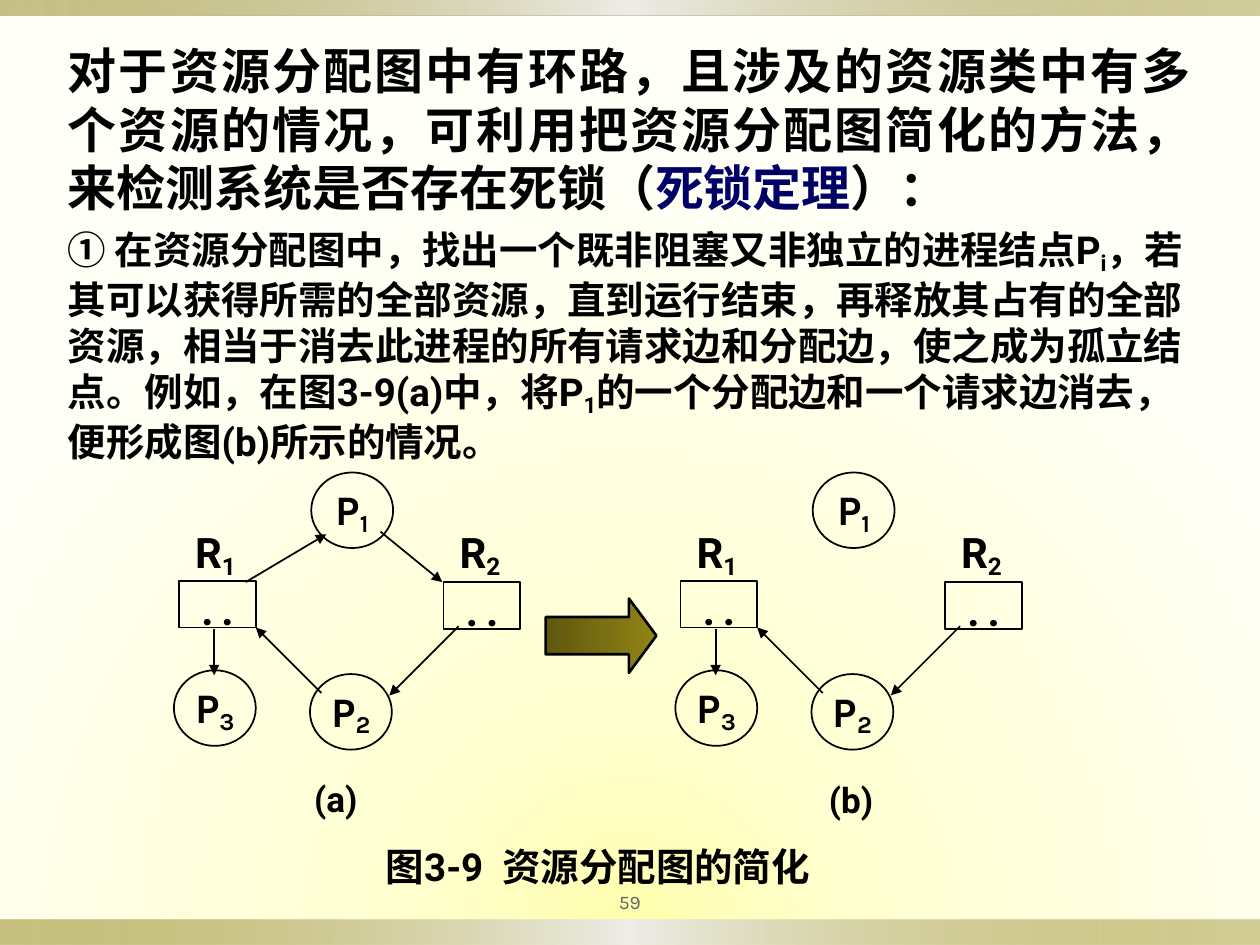
from lxml import etree
from pptx import Presentation
from pptx.dml.color import RGBColor
from pptx.enum.shapes import MSO_CONNECTOR as CONN, MSO_SHAPE as SHAPE
from pptx.enum.text import MSO_ANCHOR as ANCHOR, PP_ALIGN as ALIGN
from pptx.oxml import parse_xml
from pptx.oxml.ns import nsdecls, qn
from pptx.util import Inches, Pt

BLACK = RGBColor(0x00, 0x00, 0x00)
NAVY = RGBColor(0x00, 0x00, 0x66)
GRAY = RGBColor(0x63, 0x63, 0x63)
OLIVE = RGBColor(0x91, 0x84, 0x15)
DARK_OLIVE = RGBColor(0x5F, 0x57, 0x0E)
SILVER = RGBColor(0xEE, 0xED, 0xE8)
CREAM = [(0, RGBColor(0xFF, 0xFF, 0xAC), 100),
         (31, RGBColor(0xFF, 0xFF, 0xD2), 100),
         (100, RGBColor(0xFF, 0xFF, 0xF7), 100)]
BAND = [(0, OLIVE, 50), (50, SILVER, 100), (100, OLIVE, 40)]
ARROW = [(0, DARK_OLIVE, 100), (100, OLIVE, 100)]

LINEAR = '<a:lin ang="0" scaled="0"/>'
RADIAL = ('<a:path path="circle"><a:fillToRect l="50000" t="150000" '
          'r="50000" b="0"/></a:path>')
GRAPH_STEP = 3.98


class Builder:
    heading = {"size": Pt(28), "name": "Roboto", "bold": True}
    body = {"size": Pt(22), "name": "Roboto", "bold": True}
    label = {"size": Pt(20), "name": "Roboto", "bold": True}
    resource = {"size": Pt(24), "name": "Roboto", "bold": True}
    node = {"size": Pt(24), "name": "Karla", "bold": True}
    number = {"size": Pt(11), "name": "Karla", "bold": False}

    def __init__(self, s):
        self.s = s
        self.shapes = s.shapes

    def group(self):
        self.shapes = self.s.shapes.add_group_shape().shapes

    def ungroup(self):
        self.shapes = self.s.shapes

    def gradient(self, parent, stops, direction=LINEAR):
        gs = "".join(
            f'<a:gs pos="{pos * 1000}"><a:srgbClr val="{color}">'
            f'<a:alpha val="{alpha * 1000}"/></a:srgbClr></a:gs>'
            for pos, color, alpha in stops)
        grad = parse_xml(f'<a:gradFill {nsdecls("a")} rotWithShape="1">'
                         f'<a:gsLst>{gs}</a:gsLst>{direction}</a:gradFill>')
        solid = parent.find(qn("a:solidFill"))
        parent.replace(solid, grad)

    def background(self, stops):
        self.s.background.fill.solid()
        self.gradient(self.s.element.find(".//" + qn("p:bgPr")), stops, RADIAL)

    def shape(self, kind, box, stops=None, weight=None):
        sp = self.shapes.add_shape(kind, *map(Inches, box))
        sp.shadow.inherit = False
        if stops:
            sp.fill.solid()
            self.gradient(sp.element.spPr, stops)
        else:
            sp.fill.background()
        if weight:
            sp.line.color.rgb = BLACK
            sp.line.width = Pt(weight)
        else:
            sp.line.fill.background()
        return sp

    def frame(self, sp, wrap=True, anchor=ANCHOR.TOP, insets=(0.1, 0.05, 0.1, 0.05)):
        tf = sp.text_frame
        sides = ("margin_left", "margin_top", "margin_right", "margin_bottom")
        values = dict(zip(sides, map(Inches, insets)))
        for key, value in {"word_wrap": wrap, "vertical_anchor": anchor, **values}.items():
            setattr(tf, key, value)
        return tf

    def paragraph(self, p, runs, style, align=ALIGN.CENTER):
        p.alignment = align
        for text, color, base in runs:
            r = p.add_run()
            r.text = text
            for key, value in style.items():
                setattr(r.font, key, value)
            r.font.color.rgb = color
            if base:
                r.font._element.set("baseline", str(base * 1000))

    def text(self, box, runs, style, align=ALIGN.CENTER, **layout):
        sp = self.shapes.add_textbox(*map(Inches, box))
        tf = self.frame(sp, **layout)
        self.paragraph(tf.paragraphs[0], runs, style, align)
        return tf

    def process(self, x, y, index):
        sp = self.shape(SHAPE.OVAL, (x, y, 0.65, 0.6), weight=1)
        tf = self.frame(sp, False, ANCHOR.MIDDLE, (0.06, 0.01, 0.06, 0.01))
        self.paragraph(tf.paragraphs[0],
                       [("P", BLACK, 0), (index, BLACK, -16)], self.node)

    def resource_class(self, x, y, index):
        sp = self.shape(SHAPE.RECTANGLE, (x, y, 0.61, 0.37), weight=1)
        tf = self.frame(sp, False, insets=(0.06, 0, 0.06, 0.01))
        self.paragraph(tf.paragraphs[0], [("•  •", BLACK, -16)], self.node)
        self.text((x - 0.15, 4.13, 0.88, 0.5),
                  [("R", BLACK, 0), (index, BLACK, -16)], self.resource)

    def edge(self, x1, y1, x2, y2):
        line = self.shapes.add_connector(CONN.STRAIGHT, *map(Inches, (x1, y1, x2, y2)))
        line.line.color.rgb = BLACK
        line.line.width = Pt(1)
        etree.SubElement(line.line._get_or_add_ln(), qn("a:tailEnd"), type="triangle")
        etree.SubElement(line._element.spPr, qn("a:effectLst"))

    def graph(self, dx, edges):
        for x, y, index in ((2.47, 3.75, "1"), (2.46, 5.35, "2"), (1.38, 5.32, "3")):
            self.process(x + dx, y, index)
        for x, y, index in ((1.42, 4.61, "1"), (3.52, 4.62, "2")):
            self.resource_class(x + dx, y, index)
        for x1, y1, x2, y2 in edges:
            self.edge(x1 + dx, y1, x2 + dx, y2)


def main():
    prs = Presentation()
    prs.slide_width, prs.slide_height = Inches(10), Inches(7.5)
    b = Builder(prs.slides.add_slide(prs.slide_layouts[6]))

    b.background(CREAM)
    for y, height in ((7.3, 0.2), (0, 0.12)):
        b.shape(SHAPE.RECTANGLE, (0, y, 10, height), BAND)
    b.text((4.5, 7, 1, 0.31), [("59", GRAY, 0)], b.number,
           anchor=ANCHOR.MIDDLE, insets=(0.05,) * 4)

    tf = b.text((0.44, 0.27, 9.11, 3.43), [
        ("对于资源分配图中有环路，且涉及的资源类中有多个资源的情况，"
         "可利用把资源分配图简化的方法，来检测系统是否存在死锁（", BLACK, 0),
        ("死锁定理", NAVY, 0),
        ("）：", BLACK, 0),
    ], b.heading, ALIGN.JUSTIFY)
    p = tf.add_paragraph()
    p.space_before = Pt(5.5)
    b.paragraph(p, [
        ("① 在资源分配图中，找出一个既非阻塞又非独立的进程结点P", BLACK, 0),
        ("i", BLACK, -18),
        ("，若其可以获得所需的全部资源，直到运行结束，再释放其占有的全部资源，"
         "相当于消去此进程的所有请求边和分配边，使之成为孤立结点。"
         "例如，在图3-9(a)中，将P", BLACK, 0),
        ("1", BLACK, -18),
        ("的一个分配边和一个请求边消去，便形成图(b)所示的情况。", BLACK, 0),
    ], b.body, ALIGN.LEFT)

    p1_edges = [(1.95, 4.62, 2.59, 4.24), (3.02, 4.22, 3.51, 4.62)]
    kept_edges = [(1.7, 4.99, 1.7, 5.36), (2.55, 5.5, 2.03, 4.98),
                  (3.64, 4.97, 3.09, 5.52)]

    b.group()
    b.text((2.41, 6.64, 4.67, 0.47), [("图3-9  资源分配图的简化", BLACK, 0)], b.body)
    b.text((2.14, 6.12, 1.05, 0.43), [("(a)", BLACK, 0)], b.label)
    b.graph(0, p1_edges + kept_edges)

    b.group()
    b.text((6.23, 6.13, 1.05, 0.43), [("(b)", BLACK, 0)], b.label)
    b.graph(GRAPH_STEP, kept_edges)

    b.ungroup()
    arrow = b.shape(SHAPE.RIGHT_ARROW, (4.33, 4.75, 0.88, 0.59), ARROW, 1.5)
    arrow.adjustments[0], arrow.adjustments[1] = 0.5, 0.37

    prs.save("out.pptx")


if __name__ == "__main__":
    main()
